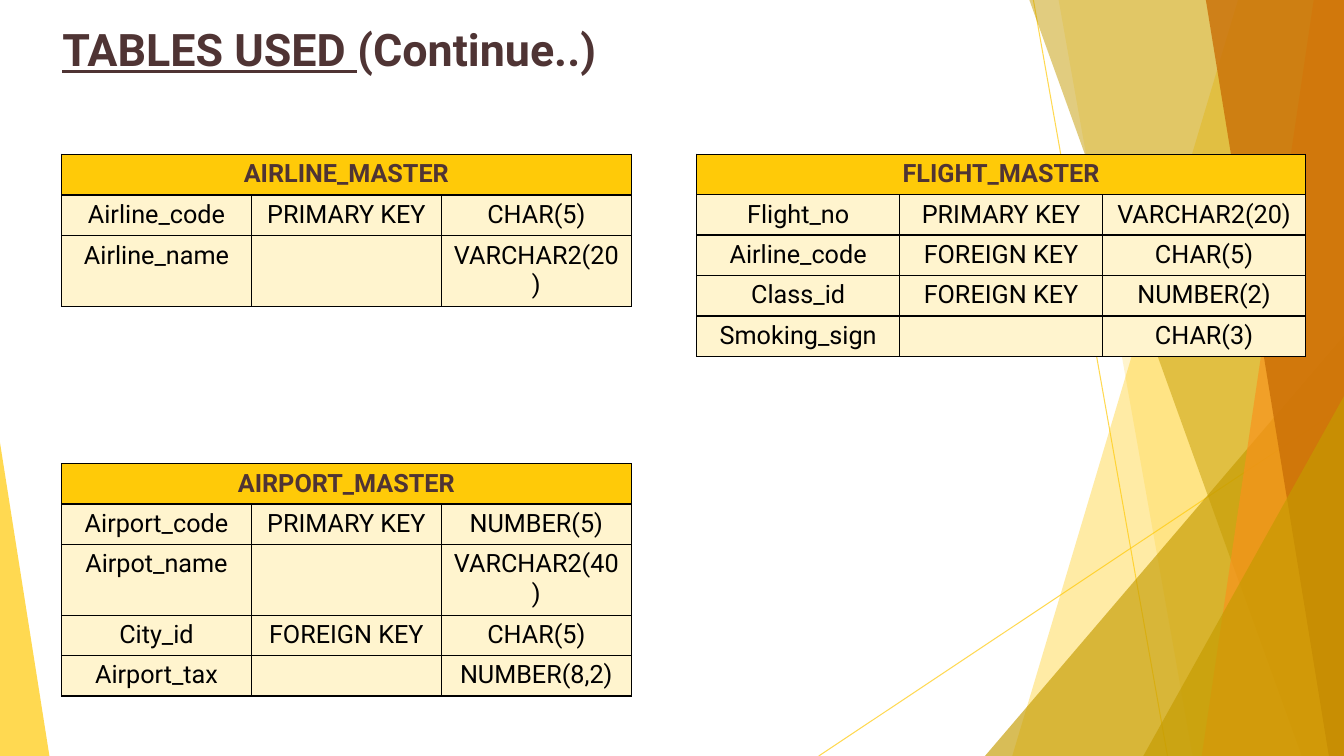
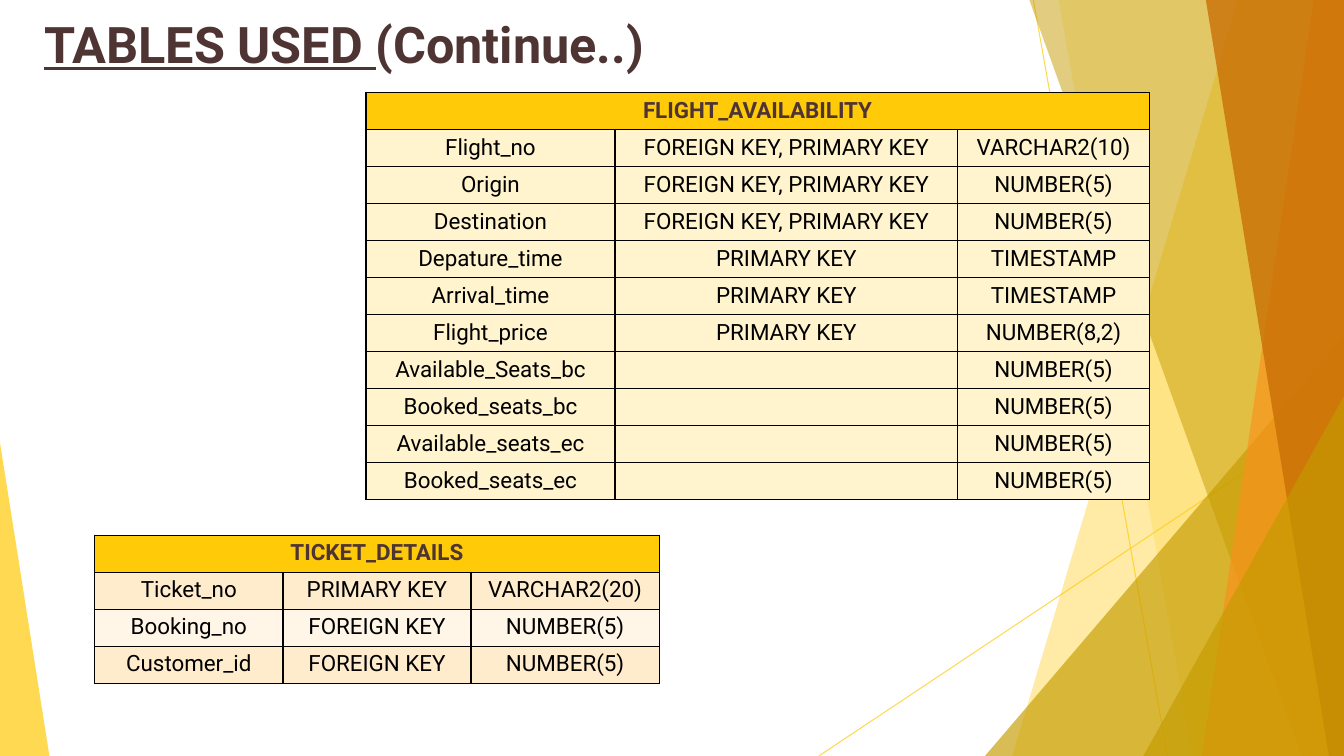
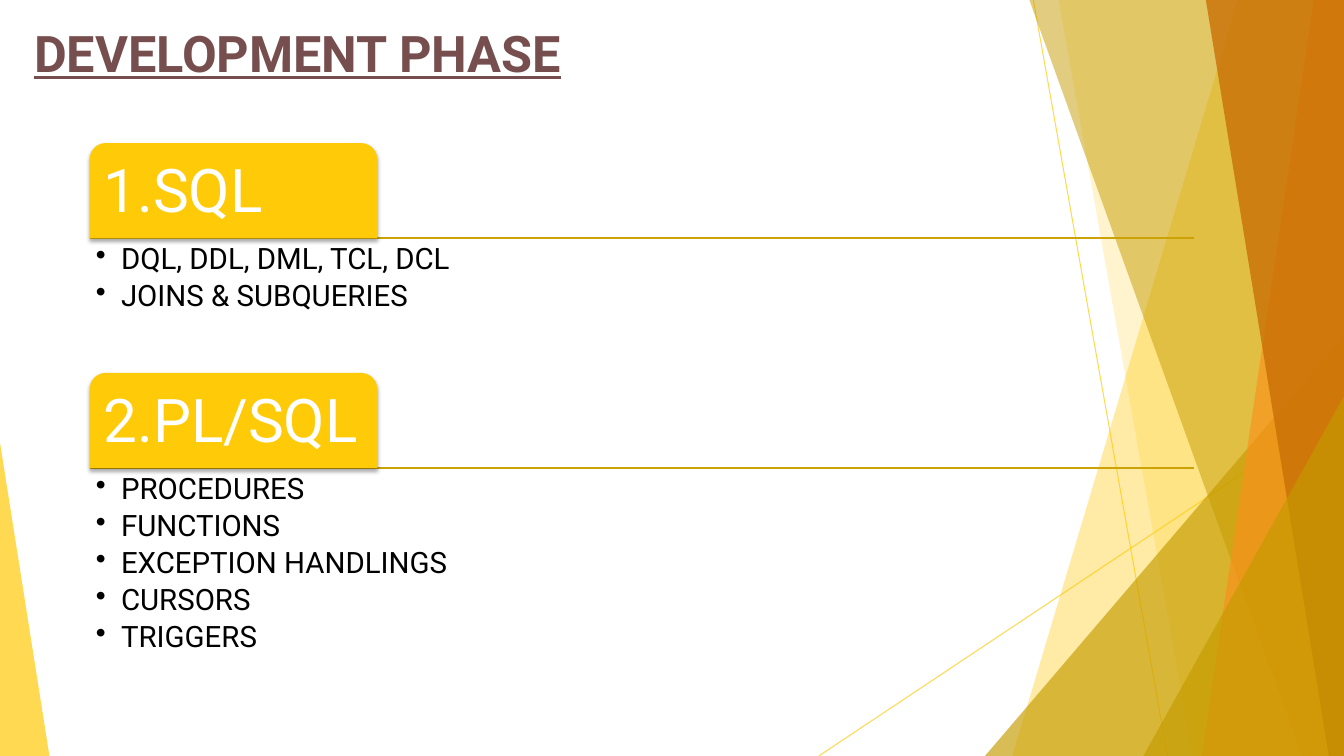
from lxml.etree import SubElement
from pptx import Presentation
from pptx.dml.color import RGBColor
from pptx.enum.shapes import MSO_CONNECTOR, MSO_SHAPE
from pptx.enum.text import MSO_ANCHOR, PP_ALIGN
from pptx.oxml import parse_xml
from pptx.oxml.ns import nsdecls, qn
from pptx.util import Inches, Pt

SLIDE_W, SLIDE_H = Inches(13.33), Inches(7.5)

GOLD = RGBColor(0xFF, 0xCA, 0x08)
DARK_GOLD = RGBColor(0xC5, 0x9B, 0x00)
RULE_GOLD = RGBColor(0xCC, 0xA2, 0x06)
ORANGE = RGBColor(0xF8, 0x93, 0x1D)
RUST = RGBColor(0xCA, 0x6F, 0x06)
CREAM = RGBColor(0xFF, 0xF4, 0xCE)
PEACH = RGBColor(0xFF, 0xEC, 0xCC)
PALE_PEACH = RGBColor(0xFF, 0xF6, 0xE7)
BROWN = RGBColor(0x4F, 0x34, 0x34)
LIGHT_BROWN = RGBColor(0x76, 0x4E, 0x4E)
WHITE = RGBColor(0xFF, 0xFF, 0xFF)
BLACK = RGBColor(0x00, 0x00, 0x00)

BASE_FORMAT = {"name": "Roboto", "bold": False}
TITLE_FORMAT = {"name": "Roboto", "bold": True, "underline": True}
HEADER_FORMAT = {"name": "Roboto", "bold": True}

TAB_WIDTH, TAB_HEIGHT = 21.38, 12.6

PK, FK = "PRIMARY KEY", "FOREIGN KEY"
BOTH_KEYS = "FOREIGN KEY, PRIMARY KEY"


def across(percent):
    """Length as a percentage of the slide width."""
    return round(SLIDE_W * percent / 100)


def down(percent):
    """Length as a percentage of the slide height."""
    return round(SLIDE_H * percent / 100)


def area(left, top, width, height):
    return across(left), down(top), across(width), down(height)


# Shared drawing helpers
def add_run(paragraph, text, size, colour, formats):
    run = paragraph.add_run()
    run.text = text
    for attribute, value in formats.items():
        setattr(run.font, attribute, value)
    run.font.size = Pt(size)
    run.font.color.rgb = colour
    return run


def set_insets(frame, inset):
    for side in ("left", "right", "top", "bottom"):
        setattr(frame, f"margin_{side}", Inches(inset))


def set_opacity(shape, opacity):
    for colour in shape._element.spPr.iter(qn("a:srgbClr")):
        SubElement(colour, qn("a:alpha"), val=str(opacity * 1000))


def paint(shape, colour):
    shape.shadow.inherit = False
    shape.fill.solid()
    shape.fill.fore_color.rgb = colour
    shape.line.fill.background()


def add_line(slide, start, end, colour, width):
    line = slide.shapes.add_connector(
        MSO_CONNECTOR.STRAIGHT, across(start[0]), down(start[1]),
        across(end[0]), down(end[1]))
    line.line.color.rgb = colour
    line.line.width = Pt(width)
    SubElement(line._element.spPr, qn("a:effectLst"))
    return line


# Faceted background
def facet(slide, top_x, bottom_x):
    """Full-height panel between a slanted edge and the right slide edge."""
    outline = slide.shapes.build_freeform(across(top_x), 0)
    outline.add_line_segments(
        [(SLIDE_W, 0), (SLIDE_W, SLIDE_H), (across(bottom_x), SLIDE_H)], close=True)
    return outline.convert_to_shape()


def wedge(slide, left, right, top, apex):
    """Triangle standing on the bottom edge of the slide."""
    triangle = slide.shapes.add_shape(
        MSO_SHAPE.ISOSCELES_TRIANGLE, *area(left, top, right - left, 100 - top))
    triangle.adjustments[0] = apex
    return triangle


BACKDROP = [
    (facet, (92.12, 75.32), GOLD, 36),
    (facet, (78.77, 88.75), GOLD, 20),
    (wedge, (73.29, 100, 44.4, 1), DARK_GOLD, 66),
    (facet, (76.59, 96.85), DARK_GOLD, 50),
    (facet, (97.75, 89.42), ORANGE, 70),
    (facet, (89.72, 98.87), RUST, 80),
    (wedge, (85.07, 100, 52.4, 1), DARK_GOLD, 66),
    (wedge, (0, 3.68, 58.53, 0), GOLD, 70),
]


def draw_backdrop(slide):
    for start, end in (((76.89, 0), (86.87, 100)), ((100, 53.73), (60.92, 100))):
        set_opacity(add_line(slide, start, end, GOLD, 0.75), 70)
    for build, geometry, colour, opacity in BACKDROP:
        panel = build(slide, *geometry)
        paint(panel, colour)
        set_opacity(panel, opacity)


def draw_title(slide, box, size, colour, underlined, plain=""):
    frame = slide.shapes.add_textbox(*area(*box)).text_frame
    frame.word_wrap = True
    add_run(frame.paragraphs[0], underlined, size, colour, TITLE_FORMAT)
    if plain:
        add_run(frame.paragraphs[0], plain, size, colour, HEADER_FORMAT)


# Schema tables
def border_cell(cell):
    properties = cell._tc.get_or_add_tcPr()
    for position, edge in enumerate(("lnL", "lnR", "lnT", "lnB")):
        properties.insert(position, parse_xml(
            f'<a:{edge} {nsdecls("a")} w="12700"><a:solidFill>'
            f'<a:srgbClr val="{BLACK}"/></a:solidFill></a:{edge}>'))


def fill_cell(cell, text, size, colour, fill, formats):
    cell.fill.solid()
    cell.fill.fore_color.rgb = fill
    border_cell(cell)
    paragraph = cell.text_frame.paragraphs[0]
    paragraph.alignment = PP_ALIGN.CENTER
    if text:
        add_run(paragraph, text, size, colour, formats)
    else:
        SubElement(paragraph._p, qn("a:endParaRPr"), sz=str(size * 100))


def draw_schema(slide, corner, columns, row_height, size, name, fields, bands=(CREAM,)):
    rows = [(name, "", "")] + fields
    table = slide.shapes.add_table(
        len(rows), len(columns),
        *area(*corner, sum(columns), row_height * len(rows))).table
    table.first_row = table.horz_banding = False
    for column, width in zip(table.columns, columns):
        column.width = across(width)
    for index, values in enumerate(rows):
        table.rows[index].height = down(row_height)
        if index == 0:
            look = (BROWN, GOLD, HEADER_FORMAT)
        else:
            look = (BLACK, bands[(index - 1) % len(bands)], BASE_FORMAT)
        for column, text in enumerate(values):
            fill_cell(table.cell(index, column), text, size, *look)
    table.cell(0, 0).merge(table.cell(0, len(columns) - 1))


# Topic sections
def draw_tab(slide, left, top, heading):
    tab = slide.shapes.add_shape(
        MSO_SHAPE.ROUND_2_SAME_RECTANGLE, *area(left, top, TAB_WIDTH, TAB_HEIGHT))
    tab.adjustments[0], tab.adjustments[1] = 0.167, 0
    paint(tab, GOLD)
    effects = tab._element.spPr.find(qn("a:effectLst"))
    shadow = SubElement(effects, qn("a:outerShdw"), blurRad=str(Pt(3)),
                        dist=str(Pt(2)), dir="5400000", rotWithShape="0")
    shade = SubElement(shadow, qn("a:srgbClr"), val=str(BLACK))
    SubElement(shade, qn("a:alpha"), val="35000")
    frame = tab.text_frame
    frame.word_wrap = True
    frame.vertical_anchor = MSO_ANCHOR.MIDDLE
    set_insets(frame, 0.09)
    paragraph = frame.paragraphs[0]
    paragraph.alignment = PP_ALIGN.LEFT
    paragraph.line_spacing = 0.9
    add_run(paragraph, heading, 43, WHITE, BASE_FORMAT)


def draw_bullets(slide, box, items):
    frame = slide.shapes.add_textbox(*area(*box)).text_frame
    frame.word_wrap = True
    set_insets(frame, 0.06)
    for index, item in enumerate(items):
        paragraph = frame.add_paragraph() if index else frame.paragraphs[0]
        paragraph.line_spacing = 0.9
        paragraph.space_after = Pt(3.7)
        properties = paragraph._p.get_or_add_pPr()
        properties.set("marL", str(Inches(0.25)))
        properties.set("indent", str(-Inches(0.25)))
        SubElement(properties, qn("a:buChar"), char="•")
        add_run(paragraph, item, 21, BLACK, BASE_FORMAT)


def draw_section(slide, box, heading, items):
    left, top, width, height = box
    rule_y = top + TAB_HEIGHT
    add_line(slide, (left, rule_y), (left + width, rule_y), RULE_GOLD, 1.5)
    draw_tab(slide, left, top, heading)
    draw_bullets(slide, (left, rule_y, width, height - TAB_HEIGHT), items)


# Slides
def master_tables(slide):
    draw_title(slide, (3.9, 2.27, 70.52, 8.53), 32, BROWN, "TABLES USED ", "(Continue..)")
    left_columns, right_columns = [14.13] * 3, [15.1] * 3
    draw_schema(slide, (4.58, 20.4), left_columns, 5.4, 18, "AIRLINE_MASTER", [
        ("Airline_code", PK, "CHAR(5)"),
        ("Airline_name", "", "VARCHAR2(20)"),
    ])
    draw_schema(slide, (4.58, 61.33), left_columns, 5.35, 18, "AIRPORT_MASTER", [
        ("Airport_code", PK, "NUMBER(5)"),
        ("Airpot_name", "", "VARCHAR2(40)"),
        ("City_id", FK, "CHAR(5)"),
        ("Airport_tax", "", "NUMBER(8,2)"),
    ])
    draw_schema(slide, (51.84, 20.4), right_columns, 5.35, 18, "FLIGHT_MASTER", [
        ("Flight_no", PK, "VARCHAR2(20)"),
        ("Airline_code", FK, "CHAR(5)"),
        ("Class_id", FK, "NUMBER(2)"),
        ("Smoking_sign", "", "CHAR(3)"),
    ])


def booking_tables(slide):
    draw_title(slide, (2.55, 1.07, 70.52, 19.2), 36, BROWN, "TABLES USED ", "(Continue..)")
    draw_schema(slide, (27.23, 12.27), [18.53, 25.51, 14.25], 4.79, 16, "FLIGHT_AVAILABILITY", [
        ("Flight_no", BOTH_KEYS, "VARCHAR2(10)"),
        ("Origin", BOTH_KEYS, "NUMBER(5)"),
        ("Destination", BOTH_KEYS, "NUMBER(5)"),
        ("Depature_time", PK, "TIMESTAMP"),
        ("Arrival_time", PK, "TIMESTAMP"),
        ("Flight_price", PK, "NUMBER(8,2)"),
        ("Available_Seats_bc", "", "NUMBER(5)"),
        ("Booked_seats_bc", "", "NUMBER(5)"),
        ("Available_seats_ec", "", "NUMBER(5)"),
        ("Booked_seats_ec", "", "NUMBER(5)"),
    ])
    draw_schema(slide, (7.05, 70.8), [14] * 3, 4.79, 16, "TICKET_DETAILS", [
        ("Ticket_no", PK, "VARCHAR2(20)"),
        ("Booking_no", FK, "NUMBER(5)"),
        ("Customer_id", FK, "NUMBER(5)"),
    ], bands=(PEACH, PALE_PEACH))


def development_phase(slide):
    draw_title(slide, (1.8, 2.27, 70.52, 19.2), 36, LIGHT_BROWN, "DEVELOPMENT PHASE")
    draw_section(slide, (6.68, 18.93, 82.15, 29.67), "1.SQL",
                 ["DQL, DDL, DML, TCL, DCL", "JOINS & SUBQUERIES"])
    draw_section(slide, (6.68, 49.33, 82.15, 37.8), "2.PL/SQL",
                 ["PROCEDURES", "FUNCTIONS", "EXCEPTION HANDLINGS", "CURSORS", "TRIGGERS"])


def main():
    deck = Presentation()
    deck.slide_width, deck.slide_height = SLIDE_W, SLIDE_H
    for draw_content in (master_tables, booking_tables, development_phase):
        slide = deck.slides.add_slide(deck.slide_layouts[6])
        draw_backdrop(slide)
        draw_content(slide)
    deck.save("out.pptx")


if __name__ == "__main__":
    main()
